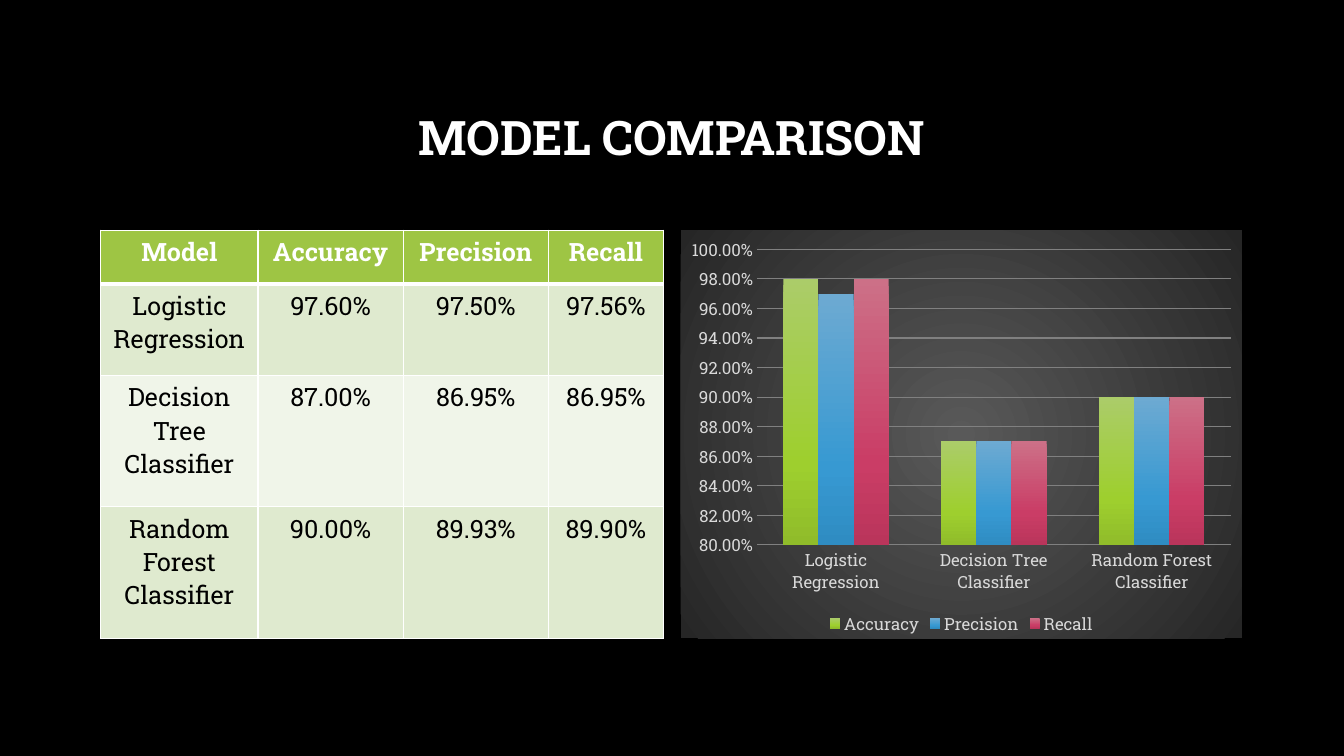
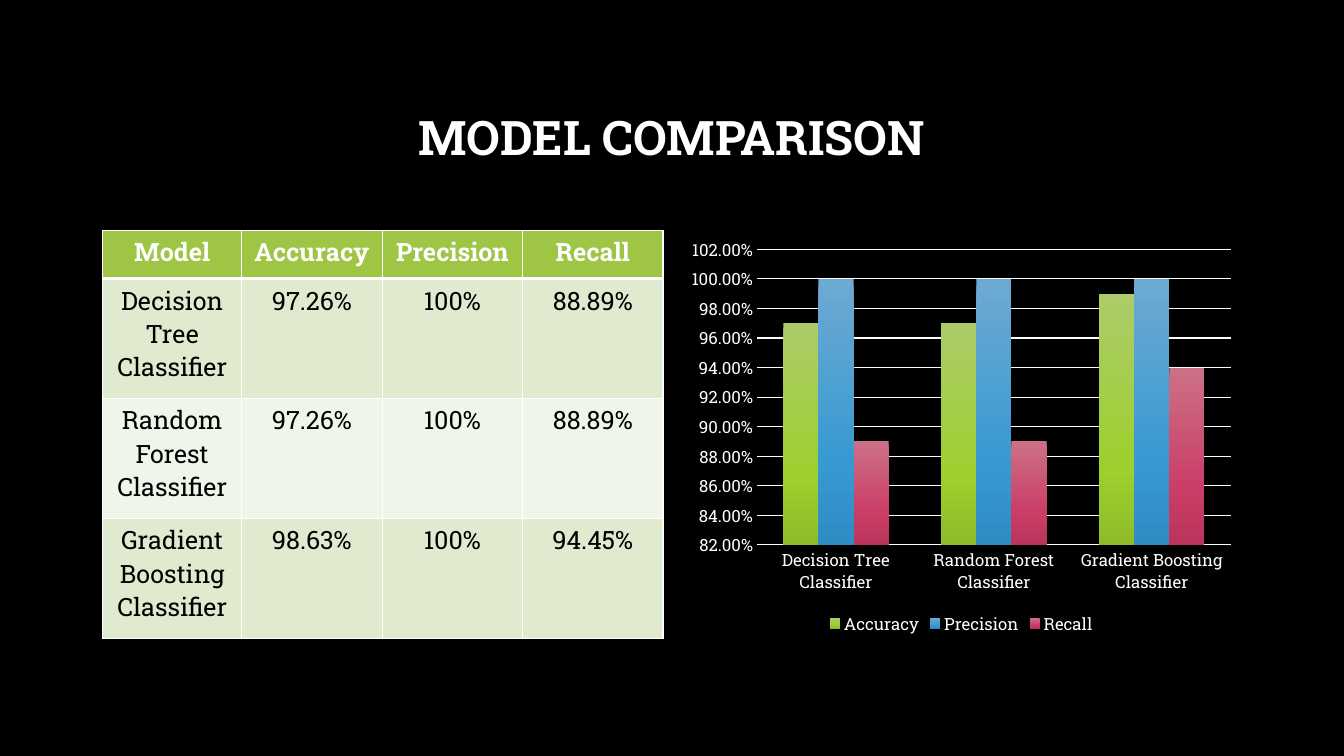
"""Build two model comparison slides, each with a table and a column chart."""
from pptx import Presentation
from pptx.chart.data import CategoryChartData
from pptx.dml.color import RGBColor
from pptx.enum.chart import XL_CHART_TYPE as CT, XL_LEGEND_POSITION as LP, XL_TICK_MARK as TM
from pptx.enum.text import MSO_ANCHOR, PP_ALIGN
from pptx.oxml import parse_xml
from pptx.oxml.ns import nsdecls, qn
from pptx.util import Cm, Pt

FONT = "Roboto Slab"
WHITE, BLACK = "FFFFFF", "000000"
HEADER, BANDS = "9EC544", ["DFEACF", "F0F5E9"]
METRICS = ["Accuracy", "Precision", "Recall"]
BARS = [
    [(0, "ABCC69"), (69, "9ECF2E"), (100, "90BC2A")],
    [(0, "6DAAD2"), (69, "3799D2"), (100, "2F8CC2")],
    [(0, "CC7087"), (69, "CA3D66"), (100, "BA355B")],
]
DOWN = '<a:lin ang="5400000" scaled="0"/>'
CIRCLE = '<a:path path="circle"><a:fillToRect l="50000" t="50000" r="50000" b="50000"/></a:path>'
TOP = Cm(5.8)

SLIDES = [
    dict(
        left=2.54, cols=[3.96, 3.66, 3.66, 2.9], rows=[1.35, 2.31, 3.31, 3.31],
        models=[
            ("Logistic Regression", "97.60%", "97.50%", "97.56%"),
            ("Decision Tree Classifier", "87.00%", "86.95%", "86.95%"),
            ("Random Forest Classifier", "90.00%", "89.93%", "89.90%"),
        ],
        low=0.8, high=1.0, text="D9D9D9", grid="808080", axis_line=False,
        back=[(0, "595959"), (100, "262626")],
    ),
    dict(
        left=2.59, cols=[3.5, 3.54, 3.54, 3.54], rows=[1.22, 3.02, 3.02, 3.02],
        models=[
            ("Decision Tree Classifier", "97.26%", "100%", "88.89%"),
            ("Random Forest Classifier", "97.26%", "100%", "88.89%"),
            ("Gradient Boosting Classifier", "98.63%", "100%", "94.45%"),
        ],
        low=0.82, high=1.02, text=WHITE, grid=WHITE, axis_line=True, back=None,
    ),
]


def style(font, size, color, bold=False):
    """Set the shared typeface with a size, colour and weight."""
    font.name, font.size, font.bold = FONT, Pt(size), bold
    font.color.rgb = RGBColor.from_string(color)


def gradient(stops, direction):
    """Return a gradient fill element."""
    gs = "".join(f'<a:gs pos="{pos * 1000}"><a:srgbClr val="{color}"/></a:gs>' for pos, color in stops)
    return parse_xml(f'<a:gradFill {nsdecls("a")}><a:gsLst>{gs}</a:gsLst>{direction}</a:gradFill>')


prs = Presentation()
prs.slide_width, prs.slide_height = Cm(33.87), Cm(19.05)

for d in SLIDES:
    s = prs.slides.add_slide(prs.slide_layouts[6])
    s.background.fill.solid()
    s.background.fill.fore_color.rgb = RGBColor.from_string(BLACK)

    tf = s.shapes.add_textbox(Cm(2.55), Cm(1.7), Cm(28.75), Cm(3.68)).text_frame
    tf.word_wrap = True
    tf.vertical_anchor = MSO_ANCHOR.MIDDLE
    p = tf.paragraphs[0]
    p.text = "MODEL COMPARISON"
    p.alignment, p.line_spacing = PP_ALIGN.CENTER, 0.9
    style(p.font, 34, WHITE, True)

    cols, rows, models = d["cols"], d["rows"], d["models"]
    table = s.shapes.add_table(len(rows), len(cols), Cm(d["left"]), TOP,
                               Cm(sum(cols)), Cm(sum(rows))).table
    for col, width in zip(table.columns, cols):
        col.width = Cm(width)
    for row, height in zip(table.rows, rows):
        row.height = Cm(height)
    for i, values in enumerate([("Model", *METRICS), *models]):
        for j, value in enumerate(values):
            cell = table.cell(i, j)
            p = cell.text_frame.paragraphs[0]
            p.text, p.alignment = value, PP_ALIGN.CENTER
            style(p.font, 18, BLACK if i else WHITE, i == 0)
            tcPr = cell._tc.get_or_add_tcPr()
            for side in "LRTB":
                width = Pt(3 if (i, side) in [(0, "B"), (1, "T")] else 1)
                tcPr.append(parse_xml(
                    f'<a:ln{side} {nsdecls("a")} w="{width}"><a:solidFill>'
                    f'<a:srgbClr val="{WHITE}"/></a:solidFill></a:ln{side}>'))
            cell.fill.solid()
            cell.fill.fore_color.rgb = RGBColor.from_string(BANDS[(i - 1) % 2] if i else HEADER)

    data = CategoryChartData(number_format="0.00%")
    data.categories = [model[0] for model in models]
    for j, metric in enumerate(METRICS, 1):
        data.add_series(metric, [round(float(model[j].rstrip("%")) / 100, 2) for model in models])
    chart = s.shapes.add_chart(CT.COLUMN_CLUSTERED, Cm(17.15), TOP, Cm(14.15), Cm(10.29), data).chart
    style(chart.font, 10, WHITE)
    chart.has_title = False
    chart.has_legend = True
    chart.legend.position, chart.legend.include_in_layout = LP.BOTTOM, False
    style(chart.legend.font, 12, d["text"])
    if d["back"]:
        spPr = parse_xml(f'<c:spPr {nsdecls("c", "a")}/>')
        spPr.append(gradient(d["back"], CIRCLE))
        chart.element.find(qn("c:chart")).addnext(spPr)

    plot = chart.plots[0]
    plot.gap_width, plot.overlap, plot.vary_by_categories = 150, 0, False
    for series, stops in zip(plot.series, BARS):
        series.format.line.fill.background()
        series._element.get_or_add_spPr().insert(0, gradient(stops, DOWN))

    for axis in (chart.category_axis, chart.value_axis):
        axis.major_tick_mark = axis.minor_tick_mark = TM.NONE
        axis.format.line.fill.background()
        style(axis.tick_labels.font, 12, d["text"])
    if d["axis_line"]:
        line = chart.category_axis.format.line
        line.color.rgb, line.width = RGBColor.from_string(WHITE), Pt(1)
    axis = chart.value_axis
    axis.minimum_scale, axis.maximum_scale, axis.major_unit = d["low"], d["high"], 0.02
    axis.tick_labels.number_format, axis.tick_labels.number_format_is_linked = "0.00%", False
    axis.has_major_gridlines = True
    line = axis.major_gridlines.format.line
    line.color.rgb, line.width = RGBColor.from_string(d["grid"]), Pt(0.75)

prs.save("out.pptx")
